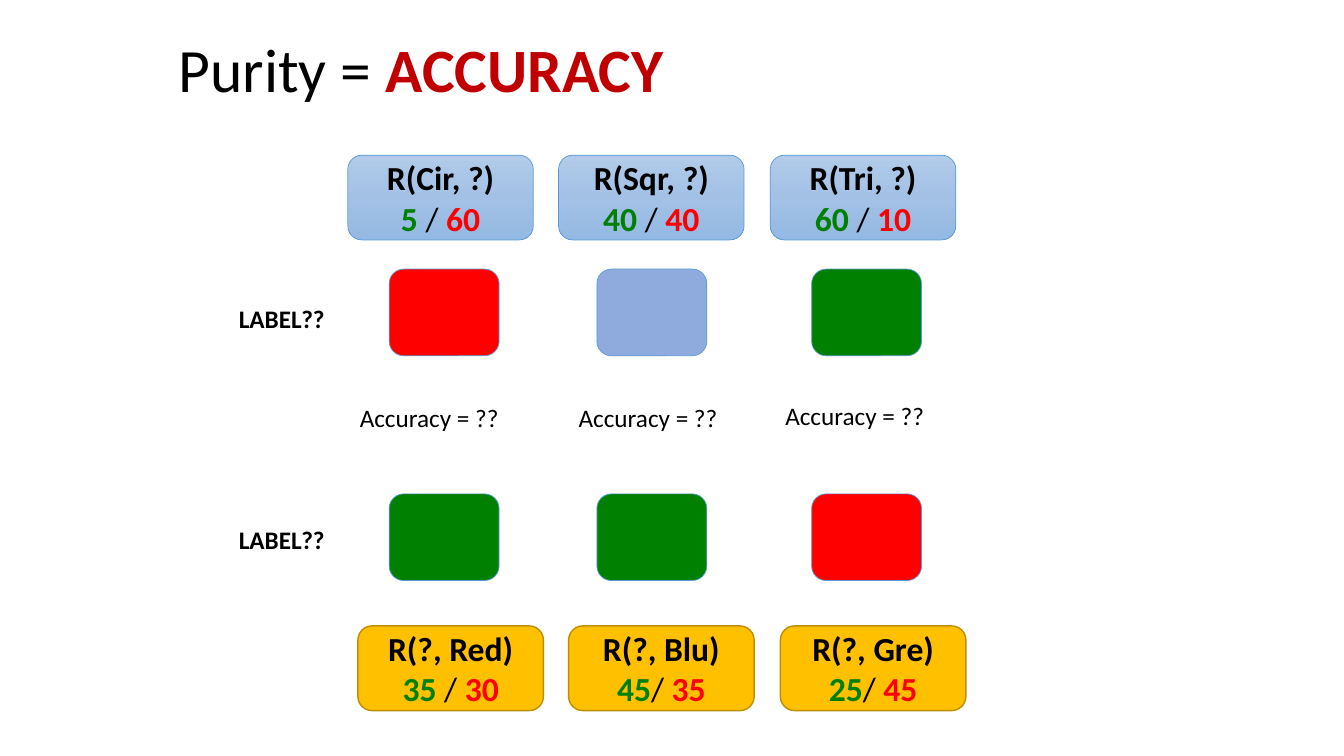
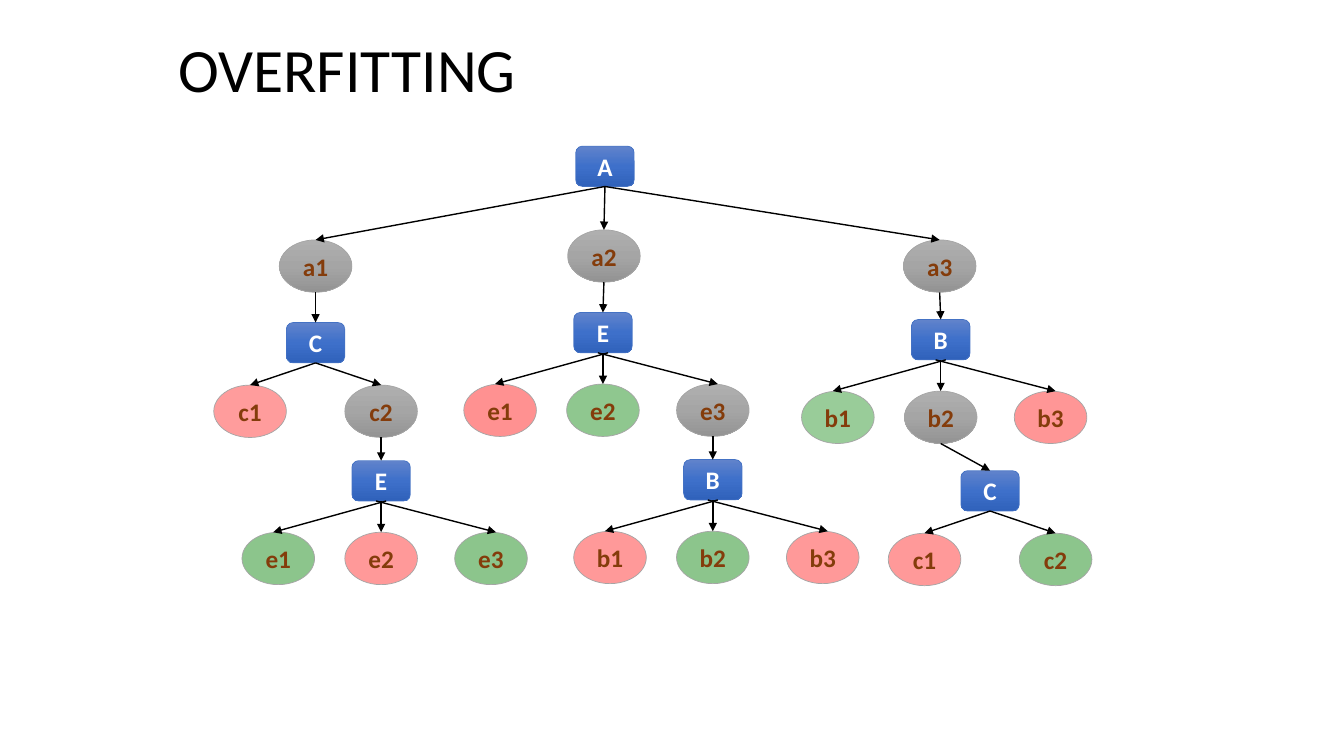
from copy import deepcopy
from typing import NamedTuple, Optional

from lxml import etree
from pptx import Presentation
from pptx.dml.color import RGBColor
from pptx.enum.shapes import MSO_CONNECTOR, MSO_SHAPE
from pptx.enum.text import MSO_ANCHOR, MSO_AUTO_SIZE, PP_ALIGN
from pptx.oxml.ns import qn
from pptx.util import Pt

PX = 9144  # 100 px to the inch
FONT = "Calibri"
TITLE_ONLY = 5

ROUND, ELLIPSE = MSO_SHAPE.ROUNDED_RECTANGLE, MSO_SHAPE.OVAL
STRAIGHT = MSO_CONNECTOR.STRAIGHT
LEFT, CENTER = PP_ALIGN.LEFT, PP_ALIGN.CENTER
MIDDLE = MSO_ANCHOR.MIDDLE
NO_FIT, GROW = MSO_AUTO_SIZE.NONE, MSO_AUTO_SIZE.SHAPE_TO_FIT_TEXT

BLACK = RGBColor(0x00, 0x00, 0x00)
WHITE = RGBColor(0xFF, 0xFF, 0xFF)
RED = RGBColor(0xFF, 0x00, 0x00)
GREEN = RGBColor(0x00, 0x80, 0x00)
DARK_RED = RGBColor(0xC0, 0x00, 0x00)
BROWN = RGBColor(0x84, 0x3C, 0x0B)
PERIWINKLE = RGBColor(0x8F, 0xAA, 0xDC)
SKY = RGBColor(0x5B, 0x9B, 0xD5)
BLUE = RGBColor(0x44, 0x72, 0xC4)
GRAY = RGBColor(0xA5, 0xA5, 0xA5)
GOLD = RGBColor(0xFF, 0xC0, 0x00)
DARK_GOLD = RGBColor(0xBD, 0x8E, 0x00)
SKY_SHADES = (RGBColor(0xB1, 0xCB, 0xE9), RGBColor(0xA3, 0xC1, 0xE5),
              RGBColor(0x93, 0xB9, 0xE4))
BLUE_SHADES = (RGBColor(0x61, 0x83, 0xCB), RGBColor(0x3E, 0x70, 0xCA),
               RGBColor(0x30, 0x62, 0xBB))
GRAY_SHADES = (RGBColor(0xAF, 0xAF, 0xAF), GRAY, RGBColor(0x93, 0x93, 0x93))

SPLIT_W, SPLIT_H = 58, 40
VALUE_W, VALUE_H = 72, 52
FLARE = 5
# Places of the outcomes, from the top centre of their split
ROOT = ((-287, 93), (-1, 83), (332, 93))
TRIO = ((-102, 71), (0, 71), (109, 71))
PAIR = ((-65, 62), (65, 62))


class Outcome(NamedTuple):
    label: str
    color: Optional[RGBColor] = None
    alpha: int = 100
    split: Optional["Split"] = None


class Split(NamedTuple):
    label: str
    x: int
    y: int
    offsets: tuple
    outcomes: tuple


TREE = Split("A", 600, 145, ROOT, (
    Outcome("a1", split=Split("C", 313, 320, PAIR, (
        Outcome("c1", RED, 39),
        Outcome("c2", split=Split("E", 378, 457, TRIO, (
            Outcome("e1", GREEN, 45),
            Outcome("e2", RED, 40),
            Outcome("e3", GREEN, 45))))))),
    Outcome("a2", split=Split("E", 598, 310, TRIO, (
        Outcome("e1", RED, 43),
        Outcome("e2", GREEN, 44),
        Outcome("e3", split=Split("B", 707, 456, TRIO, (
            Outcome("b1", RED, 40),
            Outcome("b2", GREEN, 45),
            Outcome("b3", RED, 40))))))),
    Outcome("a3", split=Split("B", 933, 317, TRIO, (
        Outcome("b1", GREEN, 40),
        Outcome("b2", split=Split("C", 982, 467, PAIR, (
            Outcome("c1", RED, 40),
            Outcome("c2", GREEN, 45)))),
        Outcome("b3", RED, 41)))),
))


def px(*lengths):
    return [n * PX for n in lengths]


def put_text(sp, *lines, size, color=BLACK, bold=False, align=LEFT):
    """Each line is a list of runs: (text, colour, bold), the last two optional."""
    tf = sp.text_frame
    for i, runs in enumerate(lines):
        p = tf.add_paragraph() if i else tf.paragraphs[0]
        p.alignment = align
        for text, *own in runs:
            run_color, run_bold = own or (color, bold)
            r = p.add_run()
            r.text = text
            r.font.name = FONT
            r.font.size = Pt(size)
            r.font.bold = run_bold
            r.font.color.rgb = run_color
    return tf


def add_title(s, *runs):
    sp = s.shapes.title
    sp.left, sp.top, sp.width, sp.height = px(167, 22, 975, 100)
    tf = put_text(sp, runs, size=44)
    tf.vertical_anchor = MIDDLE
    tf.auto_size = NO_FIT
    tf.paragraphs[0].line_spacing = 0.9


def add_label(s, x, y, w, text, bold=False):
    sp = s.shapes.add_textbox(*px(x, y, w, 40))
    tf = put_text(sp, [(text,)], size=18, bold=bold)
    tf.word_wrap = False
    tf.auto_size = GROW


def fill_gradient(sp, shades):
    sp.fill.gradient()
    sp.fill.gradient_angle = 270
    gs_list = sp._element.spPr.find(".//" + qn("a:gsLst"))
    gs_list.insert(1, deepcopy(gs_list[0]))
    for stop, position, shade in zip(sp.fill.gradient_stops, (0, 0.5, 1), shades):
        stop.position = position
        stop.color.rgb = shade


def fill_solid(sp, color, alpha):
    sp.fill.solid()
    sp.fill.fore_color.rgb = color
    if alpha < 100:
        clr = sp._element.spPr.find(qn("a:solidFill"))[0]
        etree.SubElement(clr, qn("a:alpha"), val=str(alpha * 1000))


def add_box(s, preset, x, y, w, h, fill, line, line_width=0.5, alpha=100):
    """A fill that is a tuple of shades becomes a gradient, top to bottom."""
    sp = s.shapes.add_shape(preset, *px(x, y, w, h))
    sp.shadow.inherit = False
    if isinstance(fill, RGBColor):
        fill_solid(sp, fill, alpha)
    else:
        fill_gradient(sp, fill)
    sp.line.color.rgb = line
    sp.line.width = Pt(line_width)
    tf = sp.text_frame
    tf.margin_left = tf.margin_right = tf.margin_top = tf.margin_bottom = 0
    tf.vertical_anchor = MIDDLE
    return sp


def add_arrow(s, x1, y1, x2, y2):
    cxn = s.shapes.add_connector(STRAIGHT, *px(x1, y1, x2, y2))
    cxn.line.color.rgb = BLACK
    cxn.line.width = Pt(1)
    ln = cxn.line._get_or_add_ln()
    etree.SubElement(ln, qn("a:tailEnd"), type="triangle")
    etree.SubElement(cxn._element.spPr, qn("a:effectLst"))


def add_rule_row(s, lefts, y, rules, fill, line, line_width):
    for x, (name, good, slash, bad) in zip(lefts, rules):
        sp = add_box(s, ROUND, x, y, 184, 84, fill, line, line_width)
        counts = [(good, GREEN, True), (slash, BLACK, False), (bad, RED, True)]
        put_text(sp, [(name,)], counts, size=24, bold=True, align=CENTER)


def add_swatch_row(s, y, colors):
    for x, color in zip((386, 592, 805), colors):
        add_box(s, ROUND, x, y, 109, 86, color, SKY)


def draw_split(s, split):
    """Draw a split, its outcomes and every split below them."""
    sp = add_box(s, ROUND, split.x - SPLIT_W // 2, split.y, SPLIT_W, SPLIT_H,
                 BLUE_SHADES, BLUE)
    put_text(sp, [(split.label,)], size=18, color=WHITE, bold=True, align=CENTER)
    for i, (outcome, (dx, dy)) in enumerate(zip(split.outcomes, split.offsets)):
        x, y = split.x + dx, split.y + dy
        sp = add_box(s, ELLIPSE, x - VALUE_W // 2, y, VALUE_W, VALUE_H,
                     outcome.color or GRAY_SHADES, GRAY, alpha=outcome.alpha)
        put_text(sp, [(outcome.label,)], size=18, color=BROWN, bold=True, align=CENTER)
        flare = FLARE * (i - 1) if split.offsets is TRIO else 0
        add_arrow(s, split.x - flare, split.y + SPLIT_H, x + flare, y)
        if outcome.split:
            draw_split(s, outcome.split)
            add_arrow(s, x, y + VALUE_H, outcome.split.x, outcome.split.y)


def add_purity_slide(prs):
    s = prs.slides.add_slide(prs.slide_layouts[TITLE_ONLY])
    add_title(s, ("Purity = ",), ("ACCURACY", DARK_RED, True))
    lefts = (345, 554, 764)
    add_rule_row(s, lefts, 154, (
        ("R(Cir, ?)", "5 ", "/ ", "60"),
        ("R(Sqr, ?)", "40 ", "/ ", "40"),
        ("R(Tri, ?)", "60 ", "/ ", "10")), SKY_SHADES, SKY, 0.5)
    add_swatch_row(s, 267, (RED, PERIWINKLE, GREEN))
    for x, y in ((347, 394), (564, 394), (769, 392)):
        add_label(s, x, y, 160, "Accuracy = ??")
    add_swatch_row(s, 490, (GREEN, GREEN, RED))
    for y in (296, 515):
        add_label(s, 227, y, 107, "LABEL??", bold=True)
    add_rule_row(s, [x + 10 for x in lefts], 621, (
        ("R(?, Red)", "35 ", "/ ", "30"),
        ("R(?, Blu)", "45", "/ ", "35"),
        ("R(?, Gre)", "25", "/ ", "45")), GOLD, DARK_GOLD, 1)


def add_overfitting_slide(prs):
    s = prs.slides.add_slide(prs.slide_layouts[TITLE_ONLY])
    add_title(s, ("OVERFITTING",))
    draw_split(s, TREE)


def main():
    prs = Presentation()
    prs.slide_width, prs.slide_height = px(1333, 750)
    add_purity_slide(prs)
    add_overfitting_slide(prs)
    prs.save("out.pptx")


if __name__ == "__main__":
    main()
